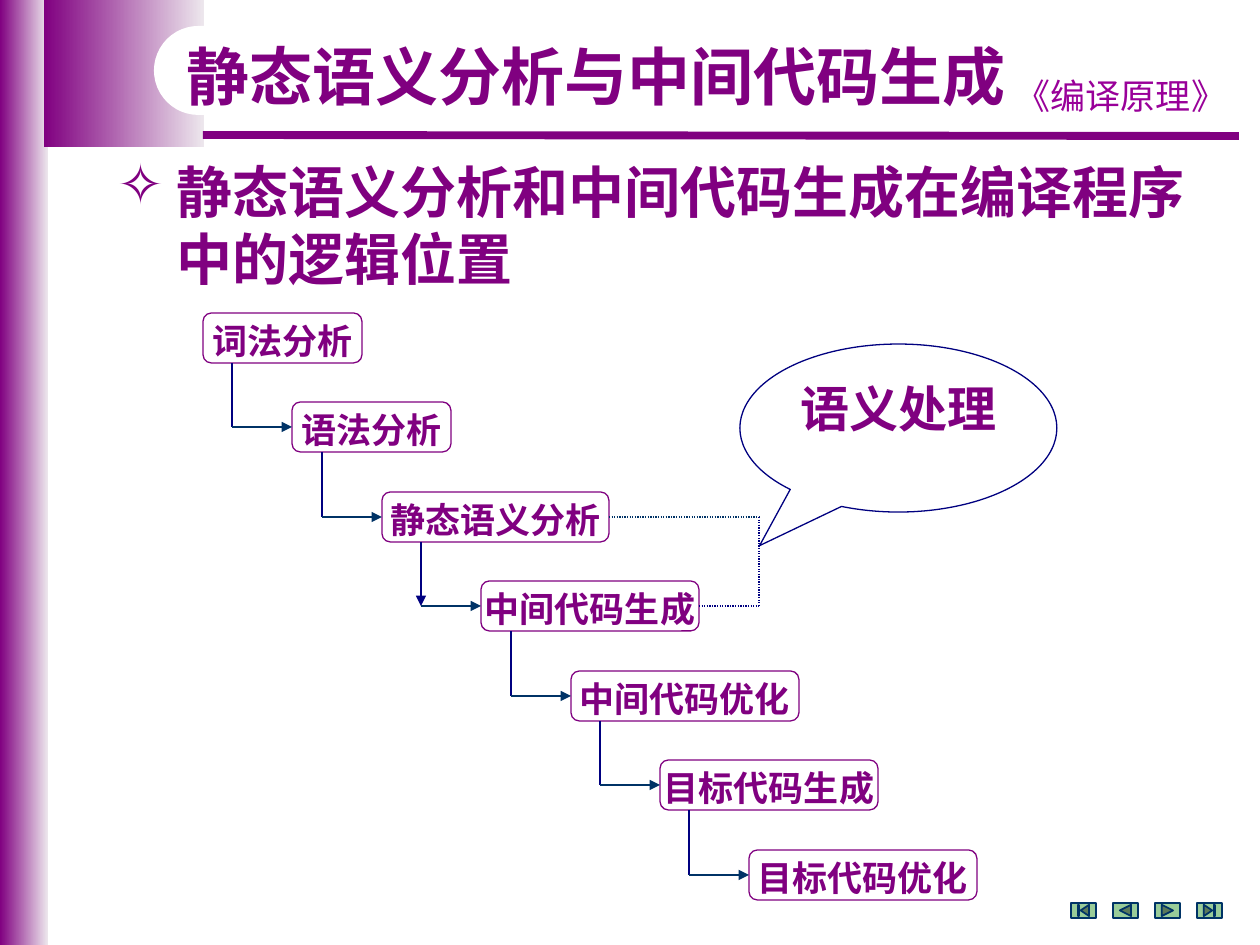
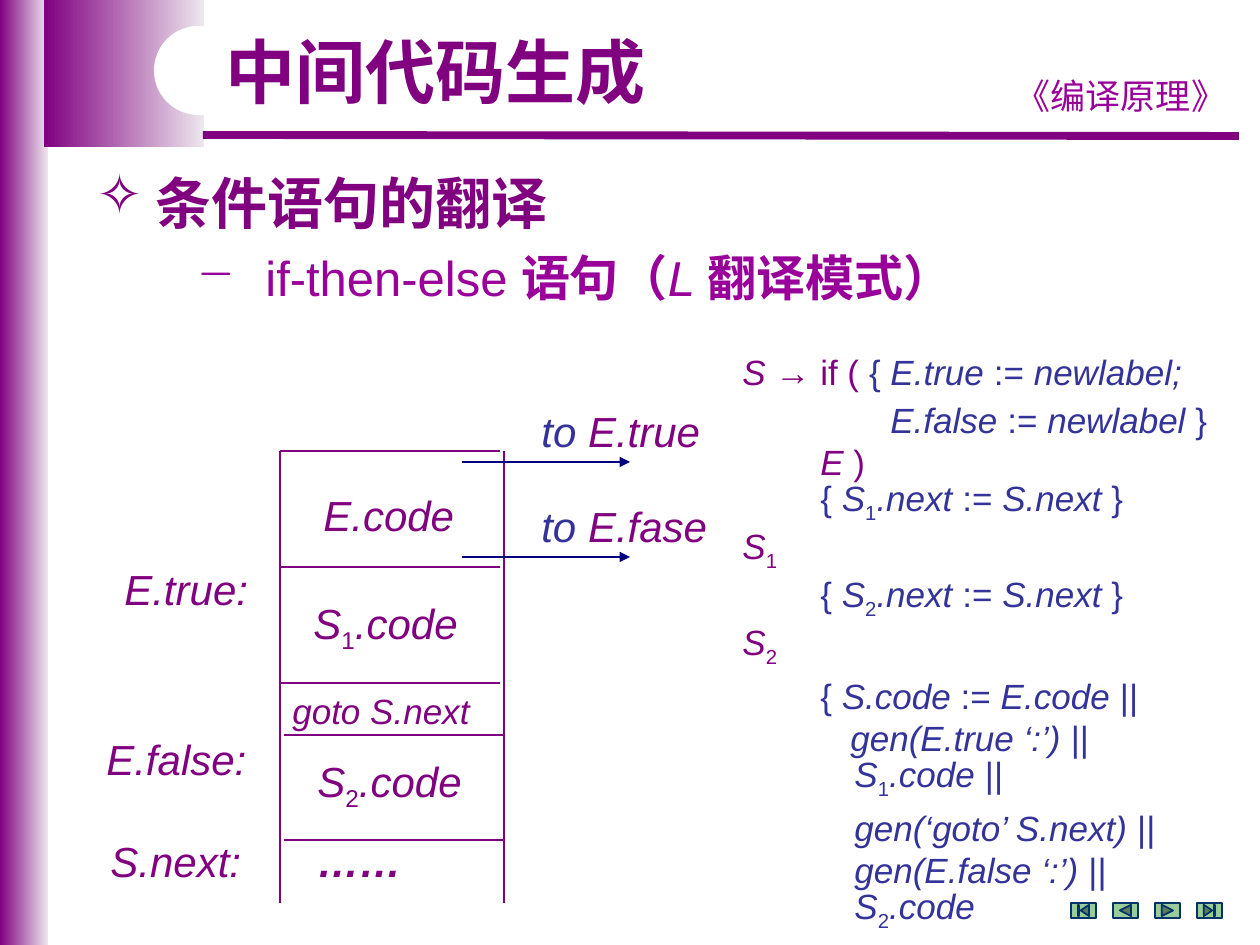
"""Build two lecture slides on static semantic analysis and intermediate code generation."""
from lxml.etree import SubElement
from pptx import Presentation
from pptx.dml.color import RGBColor
from pptx.enum.dml import MSO_LINE
from pptx.enum.shapes import MSO_CONNECTOR, MSO_SHAPE
from pptx.enum.text import MSO_ANCHOR, PP_ALIGN
from pptx.oxml.ns import qn
from pptx.util import Pt

SCALE = 914400 / 126
WIDTH, HEIGHT = 1260, 945
PURPLE, MAGENTA, PALE, WHITE = "800080", "990099", "EDE7ED", "FFFFFF"
NAVY, TEAL, INDIGO, GREEN = "000080", "003366", "333399", "99CC99"
HAN, LATIN = "Noto Sans CJK SC", "Arial"
rgb = RGBColor.from_string


def add_block(slide, box, paragraphs=(), kind=None, fill=None, outline=None, weight=0.75,
              wrap=True, align=PP_ALIGN.LEFT, anchor=MSO_ANCHOR.TOP, leading=1.2, **style):
    left, top, width, height = [round(value * SCALE) for value in box]
    if kind is None:
        block = slide.shapes.add_textbox(left, top, width, height)
    else:
        block = slide.shapes.add_shape(kind, left, top, width, height)
        block.shadow.inherit = False
        if isinstance(fill, tuple):
            block.fill.gradient()
            block.fill.gradient_angle = 0
            for stop, colour in zip(block.fill.gradient_stops, fill):
                stop.color.rgb = rgb(colour)
        elif fill:
            block.fill.solid()
            block.fill.fore_color.rgb = rgb(fill)
        else:
            block.fill.background()
        if outline:
            block.line.color.rgb = rgb(outline)
            block.line.width = Pt(weight)
        else:
            block.line.fill.background()
    frame = block.text_frame
    frame.word_wrap = wrap
    frame.vertical_anchor = anchor
    for index, runs in enumerate(paragraphs):
        paragraph = frame.add_paragraph() if index else frame.paragraphs[0]
        paragraph.alignment = align
        for words, own in runs:
            run = paragraph.add_run()
            run.text = words
            values = {"name": HAN, "size": 20, "colour": PURPLE, **style, **own}
            size, baseline = values.pop("size"), values.pop("baseline", 0)
            run.font.size = Pt(size)
            run.font.color.rgb = rgb(values.pop("colour"))
            for attribute, value in values.items():
                setattr(run.font, attribute, value)
            properties = run.font._element
            SubElement(properties, qn("a:ea")).set("typeface", values["name"])
            if baseline:
                properties.set("baseline", str(baseline))
        paragraph.line_spacing = Pt(round(size * leading, 1))
    return block


def add_line(slide, start, end, colour, weight=0.75, arrow=False, dash=None):
    ends = [round(value * SCALE) for value in (*start, *end)]
    line = slide.shapes.add_connector(MSO_CONNECTOR.STRAIGHT, *ends)
    line.line.color.rgb = rgb(colour)
    line.line.width = Pt(weight)
    if dash:
        line.line.dash_style = dash
    properties = line.element.spPr
    if arrow:
        SubElement(properties.find(qn("a:ln")), qn("a:tailEnd")).set("type", "triangle")
    SubElement(properties, qn("a:effectLst"))
    return line


deck = Presentation()
deck.slide_width, deck.slide_height = round(WIDTH * SCALE), round(HEIGHT * SCALE)
position_slide, translation_slide = [deck.slides.add_slide(deck.slide_layouts[6]) for _ in range(2)]

headings = [
    (position_slide, "静态语义分析与中间代码生成", (174, 34, 853, 82), 36),
    (translation_slide, "中间代码生成", (213, 26, 449, 88), 40),
]
navigation = [
    MSO_SHAPE.ACTION_BUTTON_BEGINNING,
    MSO_SHAPE.ACTION_BUTTON_BACK_OR_PREVIOUS,
    MSO_SHAPE.ACTION_BUTTON_FORWARD_OR_NEXT,
    MSO_SHAPE.ACTION_BUTTON_END,
]
for slide, heading, box, size in headings:
    for band in [(0, 0, 48, HEIGHT), (44, 0, 160, 147)]:
        add_block(slide, band, kind=MSO_SHAPE.RECTANGLE, fill=(PURPLE, PALE))
    add_line(slide, (203, 135), (1239, 136), PURPLE, weight=4.5)
    add_block(slide, (997, 66, 248, 54), [[("《编译原理》", {})]], wrap=False,
              align=PP_ALIGN.CENTER, leading=1.27, colour=MAGENTA)
    notch = add_block(slide, (154, 26, 456, 89), kind=MSO_SHAPE.ROUNDED_RECTANGLE, fill=WHITE)
    notch.adjustments[0] = 0.5
    add_block(slide, box, [[(heading, {})]], leading=1.15, size=size, bold=True)
    for index, button in enumerate(navigation):
        add_block(slide, (1071 + 42 * index, 903, 25, 15), kind=button,
                  fill=GREEN, outline=TEAL, weight=1)

position_topic = add_block(
    position_slide, (105, 151, 1155, 149),
    [[("静态语义分析和中间代码生成在编译程序", {})], [("中的逻辑位置", {})]], size=32, bold=True)
translation_topic = add_block(
    translation_slide, (84, 158, 1144, 79), [[("条件语句的翻译", {})]],
    leading=1.27, size=32, bold=True)
statement_topic = add_block(
    translation_slide, (184, 238, 953, 72),
    [[("if-then-else ", {"name": LATIN}), ("语句（", {"bold": True}),
      ("L ", {"name": LATIN, "italic": True}), ("翻译模式）", {"bold": True})]],
    leading=1.27, size=28, colour=MAGENTA)
for topic, bullet, hang in [(position_topic, "✧", 59), (translation_topic, "✧", 59),
                            (statement_topic, "−", 69)]:
    for index, paragraph in enumerate(topic.text_frame.paragraphs):
        properties = paragraph._p.get_or_add_pPr()
        properties.set("marL", str(round(hang * SCALE)))
        if index == 0:
            properties.set("indent", str(round(-hang * SCALE)))
            SubElement(properties, qn("a:buChar")).set("char", bullet)

phases = [
    ("词法分析", 203, 159), ("语法分析", 292, 159), ("静态语义分析", 382, 227),
    ("中间代码生成", 481, 218), ("中间代码优化", 571, 228), ("目标代码生成", 660, 218),
    ("目标代码优化", 749, 228),
]
PHASE_HEIGHT = 50
phase_tops = [313 + index * 179 // 2 for index in range(len(phases))]
phase_boxes = [
    add_block(position_slide, (left, top, width, PHASE_HEIGHT), [[(phase, {})]],
              kind=MSO_SHAPE.ROUNDED_RECTANGLE, fill=WHITE, outline=PURPLE, wrap=False,
              align=PP_ALIGN.CENTER, anchor=MSO_ANCHOR.MIDDLE, leading=1.32, bold=True)
    for (phase, left, width), top in zip(phases, phase_tops)
]
for index in range(1, len(phases)):
    left = phases[index][1]
    middle = phase_tops[index] + PHASE_HEIGHT // 2
    corner = (left - 60, middle)
    add_line(position_slide, (left - 60, phase_tops[index - 1] + PHASE_HEIGHT), corner, NAVY,
             arrow=phases[index][0] == "中间代码生成")
    step = add_line(position_slide, corner, (left, middle), TEAL, arrow=True)
    step.end_connect(phase_boxes[index], 1)

semantics = add_block(position_slide, (740, 344, 317, 168), [[("语义处理", {})]],
                      kind=MSO_SHAPE.OVAL_CALLOUT, outline=NAVY, wrap=False,
                      align=PP_ALIGN.CENTER, leading=1.27, size=28, bold=True)
semantics.adjustments[0], semantics.adjustments[1] = -0.438, 0.7
BRACKET = 759
bracket_ends = []
for index, colour in [(2, TEAL), (3, NAVY)]:
    _, left, width = phases[index]
    middle = phase_tops[index] + PHASE_HEIGHT // 2
    bracket_ends.append((BRACKET, middle))
    arm = add_line(position_slide, (left + width, middle), (BRACKET, middle), colour,
                   dash=MSO_LINE.ROUND_DOT)
    arm.begin_connect(phase_boxes[index], 3)
add_line(position_slide, *bracket_ends, NAVY, dash=MSO_LINE.ROUND_DOT)

for left in (280, 504):
    add_line(translation_slide, (left, 451), (left, 903), PURPLE)
for left, right, top in [(280, 500, 451), (280, 500, 567), (280, 500, 683),
                         (284, 504, 735), (284, 504, 840)]:
    add_line(translation_slide, (left, top), (right, top), PURPLE)
for top in (462, 557):
    add_line(translation_slide, (462, top), (630, top), NAVY, arrow=True)

plain = {"italic": False}
sub = {"italic": False, "baseline": -25000}
navy, purple = {"colour": INDIGO}, {"colour": PURPLE}
layout_labels = [
    (311, 483, 156, 24, [("E.code", {})]),
    (301, 598, 171, 24, [("S", {}), ("1", sub), (".code", {})]),
    (280, 683, 224, 20, [("goto S.next", {})]),
    (305, 756, 171, 24, [("S", {}), ("2", sub), (".code", {})]),
    (305, 829, 110, 24, [("……", {"bold": True})]),
    (112, 557, 149, 24, [("E.true:", {})]),
    (94, 727, 165, 24, [("E.false:", {})]),
    (98, 829, 156, 24, [("S.next:", {})]),
    (529, 399, 184, 24, [("to ", navy), ("E.true", {})]),
    (529, 494, 192, 24, [("to ", navy), ("E.fase", {})]),
]
for left, top, width, size, runs in layout_labels:
    add_block(translation_slide, (left, top, width, 63), [runs], wrap=False,
              name=LATIN, size=size, italic=True)

scheme = [
    (0, 0, [("S ", purple), ("→ if ( ", {**plain, **purple}), ("{ ", plain),
            ("E.true ", {}), (":= ", plain), ("newlabel;", {})]),
    (148, 6, [("E.false ", {}), (":= ", plain), ("newlabel", {}), (" }", plain)]),
    (78, 0, [("E ", purple), (")", {**plain, **purple})]),
]
for number in "12":
    scheme += [
        (78, 6 if number == "2" else 0,
         [("{ ", plain), ("S", {}), (number, sub), (".next ", {}), (":= ", plain),
          ("S.next", {}), (" }", plain)]),
        (0, 6, [("S", purple), (number, {**sub, **purple})]),
    ]
scheme += [
    (78, 6, [("{ ", plain), ("S.code ", {}), (":= ", plain), ("E.code ||", {})]),
    (108, 0, [("gen(E.true ‘:’) ||", {})]),
    (112, 0, [("S", {}), ("1", sub), (".code ||", {})]),
    (112, 6, [("gen(‘goto’ S.next) ||", {})]),
    (112, 0, [("gen(E.false ‘:’) ||", {})]),
    (112, 0, [("S", {}), ("2", sub), (".code", {})]),
]
rules = add_block(translation_slide, (730, 344, 517, 522), [runs for _, _, runs in scheme],
                  name=LATIN, colour=INDIGO, italic=True)
for paragraph, (indent, gap, _) in zip(rules.text_frame.paragraphs, scheme):
    paragraph._p.get_or_add_pPr().set("marL", str(round(indent * SCALE)))
    if gap:
        paragraph.space_before = Pt(round(gap * 72 / 126, 1))

deck.save("out.pptx")
